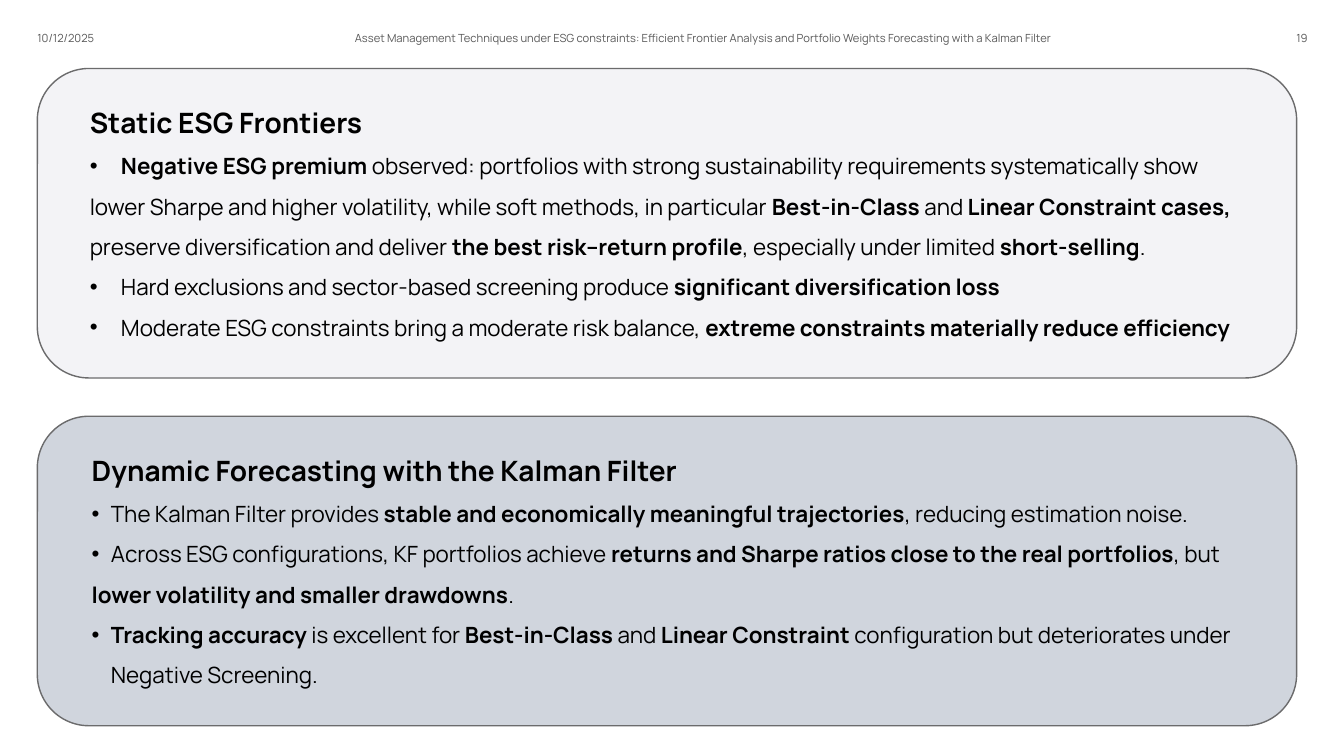
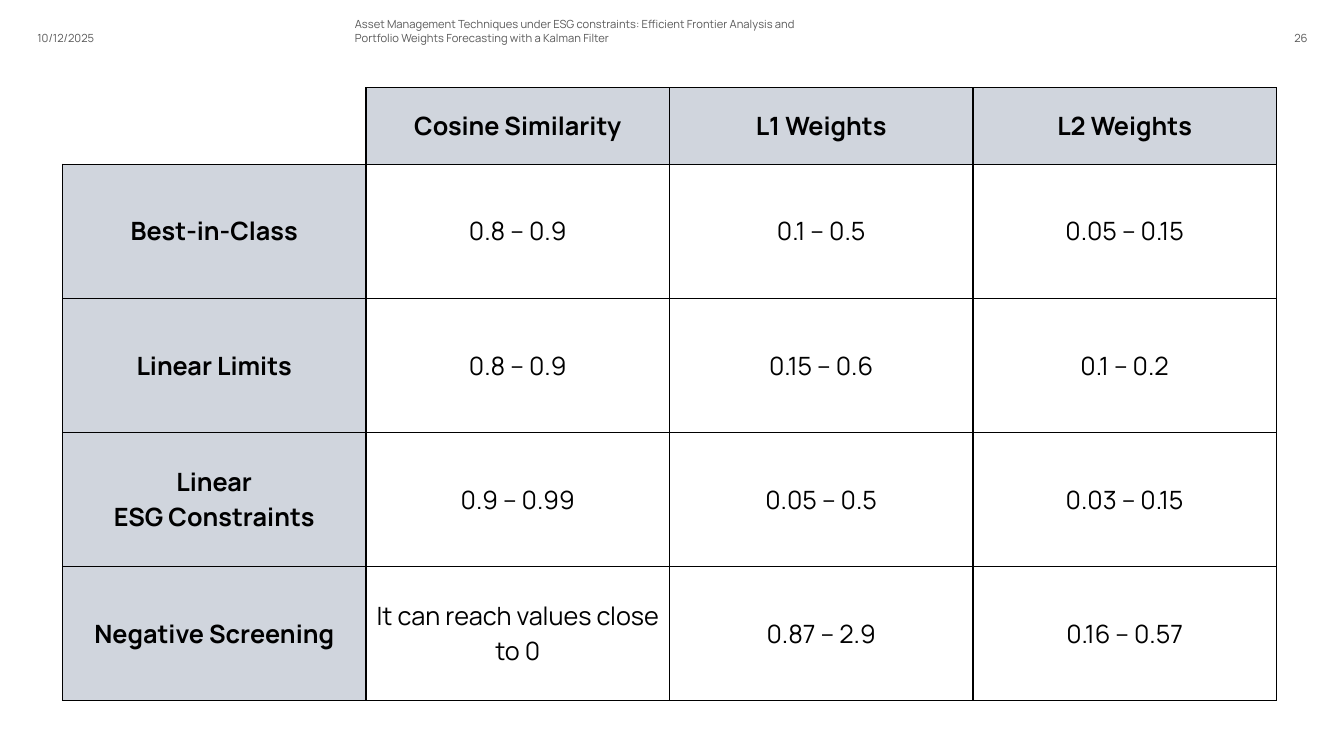
from dataclasses import dataclass
from lxml.etree import SubElement
from pptx import Presentation
from pptx.dml.color import RGBColor
from pptx.enum.shapes import MSO_SHAPE
from pptx.enum.text import MSO_ANCHOR, MSO_AUTO_SIZE, PP_ALIGN
from pptx.oxml.ns import qn
from pptx.util import Inches, Pt

FONT = "Manrope"
BLACK, GREY, EDGE = "000000", "595959", "6B6B6C"
PALE, BLUE = "F3F3F6", "D0D5DD"
DATE = "10/12/2025"
TOPIC = ("Asset Management Techniques under ESG constraints: Efficient Frontier "
         "Analysis and Portfolio Weights Forecasting with a Kalman Filter")


@dataclass
class Card:
    """A rounded panel with a heading and a list."""
    top: float
    fill: str
    left: float
    inset: float
    indent: float
    head: str
    items: list[str]


CARDS = [
    Card(0.68, PALE, 0.89, 0.2, 0.31, "Static ESG Frontiers", [
        "• **Negative ESG premium** observed: portfolios with strong sustainability "
        "requirements systematically show",
        "lower Sharpe and higher volatility, while soft methods, in particular "
        "**Best-in-Class **and **Linear Constraint cases,** preserve diversification "
        "and deliver **the best risk–return profile**, especially under limited "
        "**short-selling**.",
        "• Hard exclusions and sector-based screening produce "
        "**significant diversification loss**",
        "• Moderate ESG constraints bring a moderate risk balance, "
        "**extreme constraints materially reduce efficiency**",
    ]),
    Card(4.13, BLUE, 0.91, 0.2, 0.19, "Dynamic Forecasting with the Kalman Filter", [
        "• The Kalman Filter provides** stable and economically meaningful "
        "trajectories**, reducing estimation noise.",
        "• Across ESG configurations, KF portfolios achieve **returns and Sharpe "
        "ratios close to the real portfolios**, but",
        "**lower volatility and smaller drawdowns**.",
        "• **Tracking accuracy** is excellent for **Best-in-Class **and** Linear "
        "Constraint **configuration but deteriorates under Negative Screening.",
    ]),
]

GRID = [
    ["", "Cosine Similarity", "L1 Weights", "L2 Weights"],
    ["Best-in-Class", "0.8 – 0.9", "0.1 – 0.5", "0.05 – 0.15"],
    ["Linear Limits", "0.8 – 0.9", "0.15 – 0.6", "0.1 – 0.2"],
    ["Linear\nESG Constraints", "0.9 – 0.99", "0.05 – 0.5", "0.03 – 0.15"],
    ["Negative Screening", "It can reach values close to 0", "0.87 – 2.9", "0.16 – 0.57"],
]


def color(code: str) -> RGBColor:
    """Turn a hex string into a colour."""
    return RGBColor.from_string(code)


def write(frame, text: str, *, size: float, tint: str = BLACK, bold: bool = False,
          align=PP_ALIGN.LEFT, space: float = 1.0, indent: float = 0) -> None:
    """Add paragraphs; ** toggles bold and a leading dot makes a bullet."""
    for line in text.split("\n"):
        last = frame.paragraphs[-1]
        para = frame.add_paragraph() if last.runs else last
        props = para._p.get_or_add_pPr()
        mark = line.startswith("• ")
        step = Inches(indent) if mark else 0
        props.set("marL", str(step))
        props.set("indent", str(-step))
        if mark:
            SubElement(props, qn("a:buChar")).set("char", "•")
        else:
            SubElement(props, qn("a:buNone"))
        para.alignment = align
        para.line_spacing = space
        para.space_before = Pt(0)
        for i, part in enumerate(line.removeprefix("• ").split("**")):
            if part:
                run = para.add_run()
                run.text = part
                font = run.font
                font.name, font.size = FONT, Pt(size)
                font.bold = bold or i % 2 == 1
                font.color.rgb = color(tint)


def setup(frame, anchor) -> None:
    """Clear the insets and wrap the text."""
    frame.word_wrap = True
    frame.auto_size = MSO_AUTO_SIZE.NONE
    frame.vertical_anchor = anchor
    frame.margin_left = frame.margin_right = 0
    frame.margin_top = frame.margin_bottom = 0


def header(slide, number: int, width: float) -> None:
    """Draw the date, topic and page number."""
    for left, wide, text, align in (
            (0.37, 2.61, DATE, PP_ALIGN.LEFT),
            (3.52, width, TOPIC, PP_ALIGN.LEFT),
            (11.83, 1.14, str(number), PP_ALIGN.RIGHT)):
        box = slide.shapes.add_textbox(
            Inches(left), Inches(0.04), Inches(wide), Inches(0.4))
        setup(box.text_frame, MSO_ANCHOR.BOTTOM)
        write(box.text_frame, text, size=8, tint=GREY, align=align)


def panel(slide, card: Card, body) -> None:
    """Draw one card behind its body text."""
    shape = slide.shapes.add_shape(
        MSO_SHAPE.ROUNDED_RECTANGLE, Inches(0.37), Inches(card.top),
        Inches(12.49), Inches(3.07))
    shape.shadow.inherit = False
    shape.fill.solid()
    shape.fill.fore_color.rgb = color(card.fill)
    shape.line.color.rgb = color(EDGE)
    shape.line.width = Pt(1)
    body._element.addprevious(shape._element)
    body.left, body.top = Inches(card.left), Inches(card.top + card.inset)
    body.width, body.height = Inches(11.54), Inches(2.67)
    frame = body.text_frame
    setup(frame, MSO_ANCHOR.TOP)
    write(frame, card.head, size=20, bold=True, space=1.5)
    write(frame, "\n".join(card.items), size=16, space=1.5, indent=card.indent)


def border(cell, sides: str) -> None:
    """Rule the named sides and hide the others."""
    props = cell._tc.get_or_add_tcPr()
    for side in "LRTB":
        line = SubElement(props, qn(f"a:ln{side}"), w=str(Pt(1)))
        if side in sides:
            fill = SubElement(line, qn("a:solidFill"))
            SubElement(fill, qn("a:srgbClr"), val=BLACK)
        else:
            SubElement(line, qn("a:noFill"))


def matrix(slide) -> None:
    """Draw the table of scores."""
    table = slide.shapes.add_table(
        len(GRID), len(GRID[0]), Inches(0.62), Inches(0.87),
        Inches(12.04), Inches(6.08)).table
    table.first_row = table.horz_banding = False
    for col in table.columns:
        col.width = Inches(3.01)
    for r, row in enumerate(GRID):
        table.rows[r].height = Inches(1.33 if r else 0.76)
        for c, text in enumerate(row):
            cell = table.cell(r, c)
            head = r == 0 or c == 0
            border(cell, "LRTB" if text else "RB")
            if head and text:
                cell.fill.solid()
                cell.fill.fore_color.rgb = color(BLUE)
            else:
                cell.fill.background()
            cell.vertical_anchor = MSO_ANCHOR.MIDDLE
            write(cell.text_frame, text, size=18, bold=head, align=PP_ALIGN.CENTER)


def main() -> None:
    """Build and save the deck."""
    deck = Presentation()
    deck.slide_width, deck.slide_height = Inches(13.33), Inches(7.5)
    slide = deck.slides.add_slide(deck.slide_layouts[3])
    title = slide.shapes.title._element
    title.getparent().remove(title)
    for i, card in enumerate(CARDS, 1):
        panel(slide, card, slide.placeholders[i])
    header(slide, 19, 8.16)
    slide = deck.slides.add_slide(deck.slide_layouts[6])
    header(slide, 26, 4.5)
    matrix(slide)
    deck.save("out.pptx")


if __name__ == "__main__":
    main()
